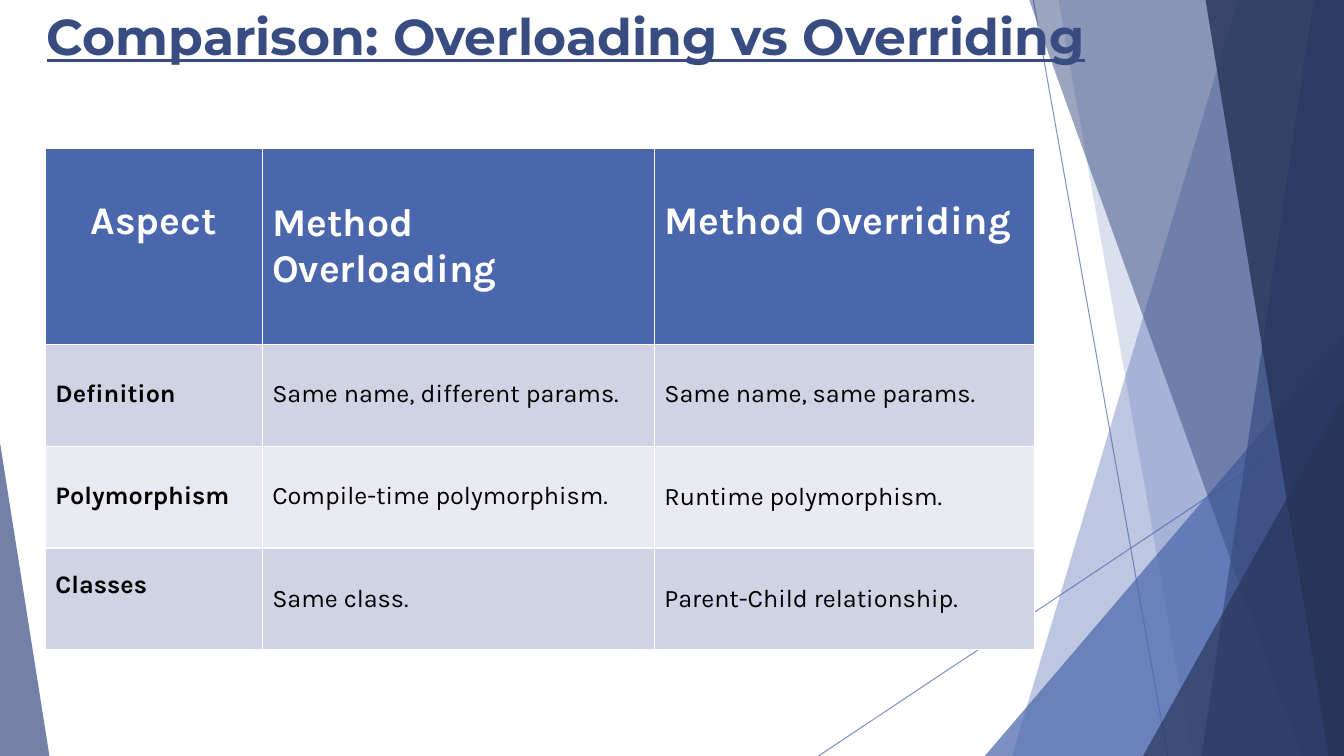
from dataclasses import dataclass

from lxml import etree
from pptx import Presentation
from pptx.dml.color import RGBColor
from pptx.enum.shapes import MSO_CONNECTOR, MSO_SHAPE
from pptx.enum.text import MSO_ANCHOR, PP_ALIGN
from pptx.oxml.ns import qn
from pptx.util import Inches, Pt

STRAIGHT = MSO_CONNECTOR.STRAIGHT
TRIANGLE = MSO_SHAPE.ISOSCELES_TRIANGLE
MIDDLE = MSO_ANCHOR.MIDDLE
LEFT, CENTER = PP_ALIGN.LEFT, PP_ALIGN.CENTER


@dataclass(frozen=True)
class Theme:
    blue: str = "4A66AC"
    navy: str = "384C81"
    ink: str = "253356"
    white: str = "FFFFFF"
    black: str = "000000"
    bands: tuple = ("D0D3E3", "E9EAF1")
    title_font: str = "Montserrat"
    body_font: str = "Karla"
    title_size: int = 36
    head_size: int = 28
    body_size: int = 18
    hairline: float = 0.75


def write_text(tf, text, *, font, size, color, bold=False, underline=False, align=LEFT):
    p = tf.paragraphs[0]
    p.alignment = align
    r = p.add_run()
    r.text = text
    r.font.name = font
    r.font.size = Pt(size)
    r.font.bold = bold
    r.font.underline = underline
    r.font.color.rgb = RGBColor.from_string(color)


def set_alpha(sp, percent):
    clr = next(sp._element.spPr.iter(qn("a:srgbClr")))
    etree.SubElement(clr, qn("a:alpha")).set("val", str(percent * 1000))


class SlideBuilder:
    def __init__(self, prs, theme):
        self.prs = prs
        self.theme = theme
        self.slide = prs.slides.add_slide(prs.slide_layouts[6])

    def x(self, percent):
        return round(self.prs.slide_width * percent / 100)

    def y(self, percent):
        return round(self.prs.slide_height * percent / 100)

    def line(self, x1, y1, x2, y2):
        c = self.slide.shapes.add_connector(
            STRAIGHT, self.x(x1), self.y(y1), self.x(x2), self.y(y2))
        c.line.width = Pt(self.theme.hairline)
        c.line.color.rgb = RGBColor.from_string(self.theme.blue)
        set_alpha(c, 70)
        etree.SubElement(c._element.spPr, qn("a:effectLst"))

    def paint(self, sp, color, alpha):
        sp.shadow.inherit = False
        sp.fill.solid()
        sp.fill.fore_color.rgb = RGBColor.from_string(color)
        set_alpha(sp, alpha)
        sp.line.fill.background()

    def facet(self, top, bottom, color, alpha):
        fb = self.slide.shapes.build_freeform(self.x(top), 0)
        corners = [(100, 0), (100, 100), (bottom, 100)]
        fb.add_line_segments([(self.x(x), self.y(y)) for x, y in corners])
        self.paint(fb.convert_to_shape(), color, alpha)

    def triangle(self, left, top, width, apex, color, alpha):
        sp = self.slide.shapes.add_shape(
            TRIANGLE, self.x(left), self.y(top), self.x(width), self.y(100 - top))
        sp.adjustments[0] = apex
        self.paint(sp, color, alpha)

    def title(self, text, width, height):
        sp = self.slide.shapes.add_textbox(0, 0, self.x(width), self.y(height))
        tf = sp.text_frame
        tf.word_wrap = True
        t = self.theme
        write_text(tf, text, font=t.title_font, size=t.title_size, color=t.navy,
                   bold=True, underline=True, align=CENTER)

    def table(self, left, top, cols, rows, data, lifts):
        t = self.theme
        frame = self.slide.shapes.add_table(
            len(rows), len(cols), self.x(left), self.y(top),
            self.x(sum(cols)), self.y(sum(rows)))
        tbl = frame.table
        for col, width in zip(tbl.columns, cols):
            col.width = self.x(width)
        for row, height in zip(tbl.rows, rows):
            row.height = self.y(height)
        for i, texts in enumerate(data):
            head = i == 0
            fill = t.blue if head else t.bands[(i - 1) % 2]
            for j, text in enumerate(texts):
                cell = tbl.cell(i, j)
                cell.fill.solid()
                cell.fill.fore_color.rgb = RGBColor.from_string(fill)
                cell.vertical_anchor = MIDDLE
                cell.margin_bottom = Inches(0.05 + lifts[i][j])
                write_text(cell.text_frame, text, font=t.body_font,
                           size=t.head_size if head else t.body_size,
                           color=t.white if head else t.black,
                           bold=head or j == 0,
                           align=CENTER if head and j == 0 else LEFT)


def main():
    prs = Presentation()
    prs.slide_width, prs.slide_height = Inches(13.33), Inches(7.5)
    theme = Theme()
    s = SlideBuilder(prs, theme)

    s.line(76.88, 0, 86.88, 100)
    s.line(100, 53.73, 60.9, 100)
    s.facet(92.1, 75.3, theme.blue, 36)
    s.facet(78.75, 88.73, theme.blue, 20)
    s.triangle(73.28, 44.4, 26.72, 1, theme.blue, 72)
    s.facet(76.58, 96.83, theme.navy, 50)
    s.facet(97.73, 89.4, theme.navy, 70)
    s.facet(89.7, 98.85, theme.ink, 80)
    s.triangle(85.05, 52.4, 14.95, 1, theme.ink, 66)
    s.triangle(0, 58.53, 3.68, 0, theme.navy, 70)

    s.title("Comparison: Overloading vs Overriding", 84.23, 9.47)
    s.table(
        3.38, 19.6, [16.13, 29.18, 28.28], [26] + [13.45] * 3,
        [["Aspect", "Method Overloading", "Method Overriding"],
         ["Definition", "Same name, different params.", "Same name, same params."],
         ["Polymorphism", "Compile-time polymorphism.", "Runtime polymorphism."],
         ["Classes", "Same class.", "Parent-Child relationship."]],
        lifts=[(0.5, 0, 0.5), (0.03, 0.03, 0.03), (0.03, 0.03, 0), (0.28, 0, 0)])

    prs.save("out.pptx")


if __name__ == "__main__":
    main()
